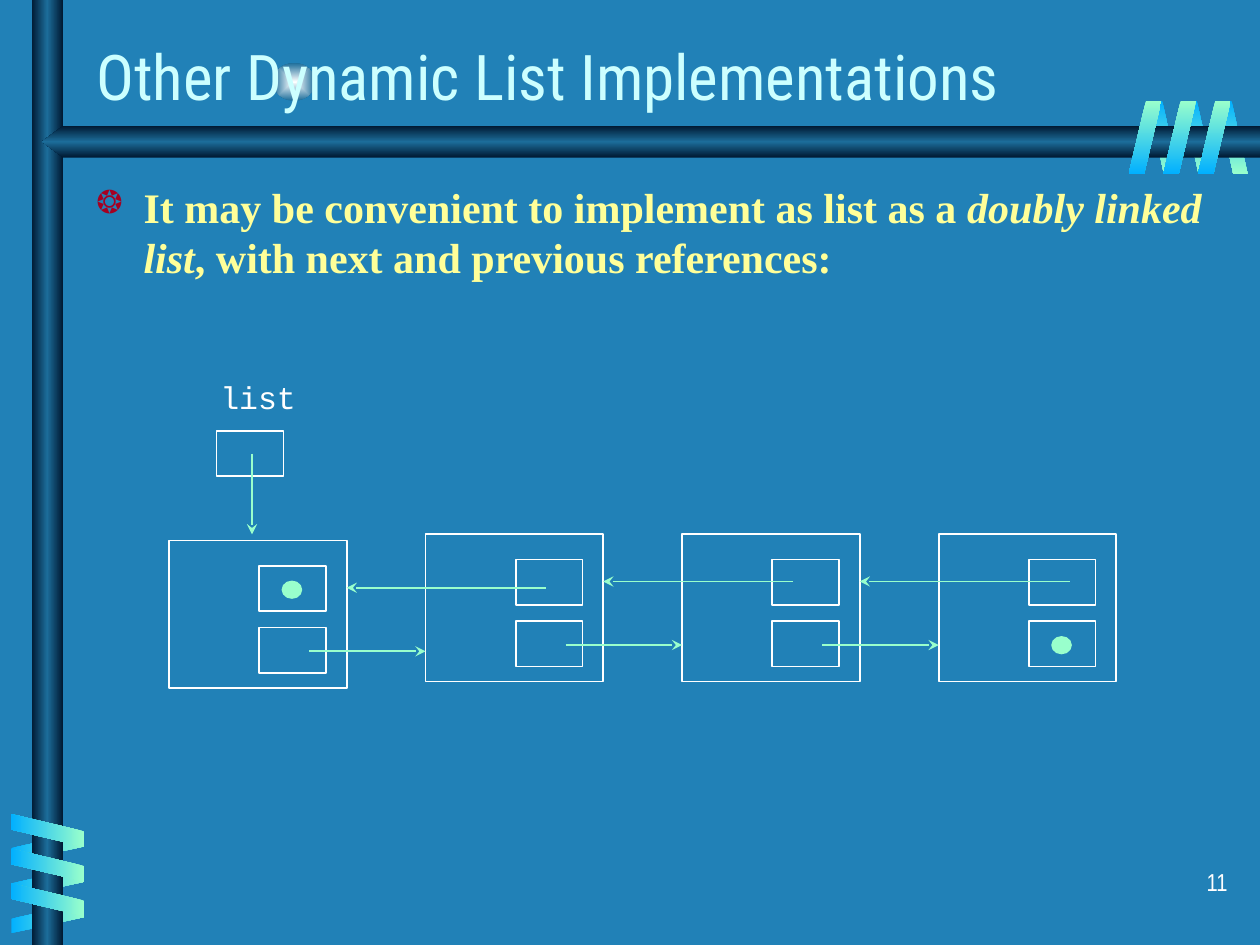
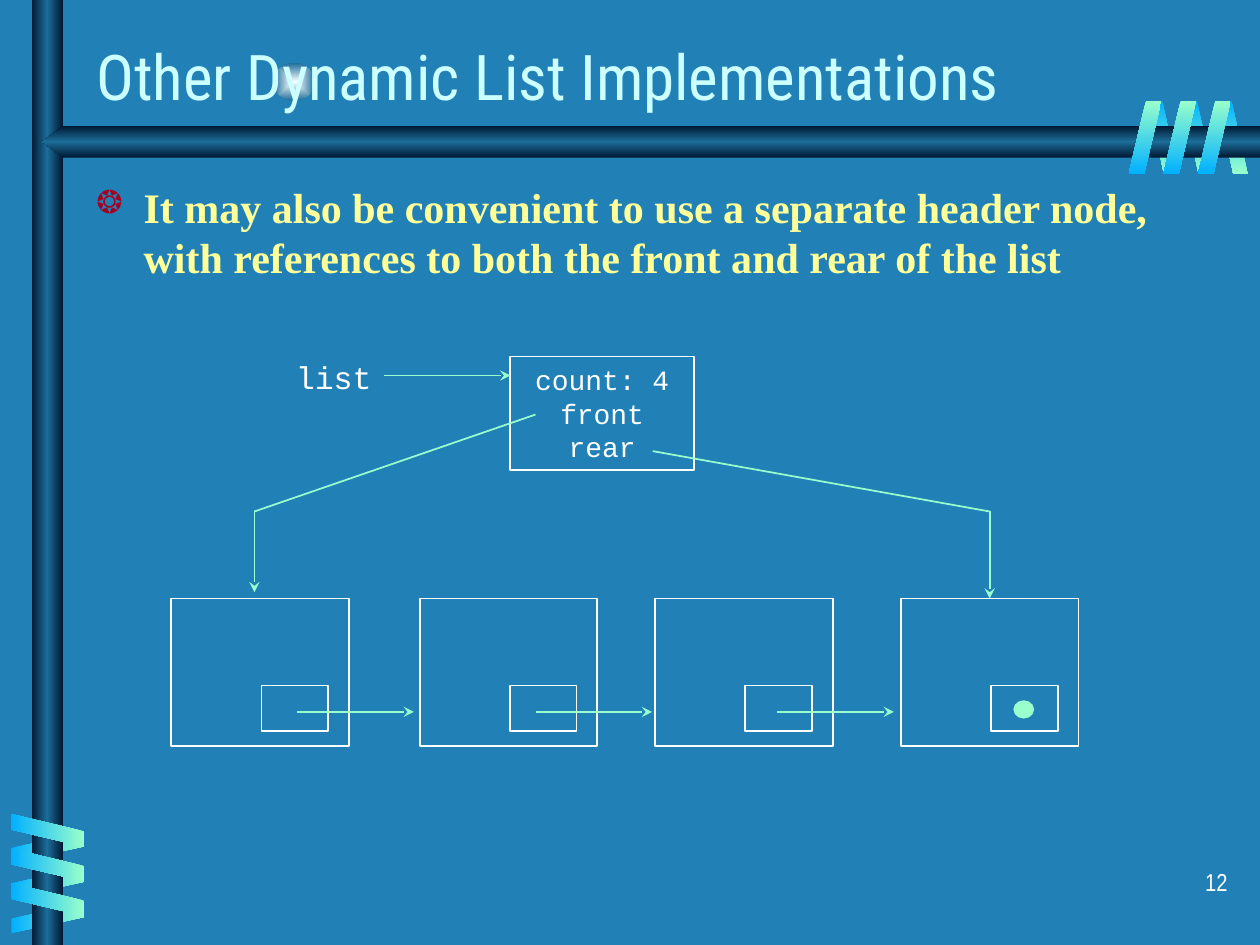
from lxml import etree
from pptx import Presentation
from pptx.dml.color import RGBColor
from pptx.enum.shapes import MSO_CONNECTOR, MSO_SHAPE
from pptx.enum.text import MSO_ANCHOR, MSO_AUTO_SIZE, PP_ALIGN
from pptx.oxml import parse_xml
from pptx.oxml.ns import nsdecls, qn
from pptx.util import Pt

RECTANGLE, OVAL, SLAT = MSO_SHAPE.RECTANGLE, MSO_SHAPE.OVAL, MSO_SHAPE.PARALLELOGRAM
STRAIGHT = MSO_CONNECTOR.STRAIGHT
TOP, MIDDLE = MSO_ANCHOR.TOP, MSO_ANCHOR.MIDDLE
LEFT, CENTER, RIGHT = PP_ALIGN.LEFT, PP_ALIGN.CENTER, PP_ALIGN.RIGHT
FIT_TEXT = MSO_AUTO_SIZE.SHAPE_TO_FIT_TEXT

COLORS = {
    "background": "2181B7", "title": "CCFFFF", "body": "FFFF99", "bullet": "A50021",
    "white": "FFFFFF", "mint": "99FFCC", "azure": "01B0FF",
    "navy": "001932", "steel": "1C6D9A", "glow": "FEFFFF",
}
FORMATS = {
    "title": {"name": "Roboto Condensed", "size": Pt(36)},
    "body": {"name": "Times New Roman", "size": Pt(24), "bold": True},
    "label": {"name": "Courier New", "size": Pt(18)},
    "field": {"name": "Courier New", "size": Pt(16)},
    "number": {"name": "Arial Narrow", "size": Pt(14)},
}
BAR_STOPS = [(0, "navy"), (50, "steel"), (100, "navy")]
FRONT_STOPS = [(0, "mint"), (100, "azure")]
BACK_STOPS = [(0, "azure"), (100, "mint")]

# Coil slats: first left, first top, step right, step down, width, rotation, flipped, angle
BACK_COILS = [
    (656, 57.6, 19.8, 0, 17.3, 180, True, 90),
    (18.7, 463.2, 0, 20.2, 17.3, 90, True, 180),
]
FRONT_COILS = [
    (17.8, 453.6, 0, 19.8, 18.7, 270, False, 180),
    (645, 57.6, 19.8, 0, 18.7, 0, False, 90),
]
SLAT_LENGTH = 41.8

NODE_WIDTH, NODE_HEIGHT = 101.5, 84.2
CELL_WIDTH, CELL_HEIGHT = 38.2, 25.9
CELL_LEFT, PREVIOUS_TOP, NEXT_TOP = 51.5, 14.4, 49.7
DOT_LEFT, DOT_TOP = 13.3, 9


def style_shape(shape, fill=None, line=None, angle=None):
    """Fill with a colour name, gradient stops or nothing; stops without angle run to the centre."""
    shape.shadow.inherit = False
    shape.fill.background()
    if isinstance(fill, str):
        shape.fill.solid()
        shape.fill.fore_color.rgb = RGBColor.from_string(COLORS[fill])
    elif fill:
        stops = "".join(
            f'<a:gs pos="{position * 1000}"><a:srgbClr val="{COLORS[color]}"/></a:gs>'
            for position, color in fill)
        direction = (
            '<a:path path="rect"><a:fillToRect l="50000" t="50000" r="50000" b="50000"/></a:path>'
            if angle is None else f'<a:lin ang="{angle * 60000}" scaled="0"/>')
        gradient = parse_xml(f'<a:gradFill {nsdecls("a")} rotWithShape="0">'
                             f'<a:gsLst>{stops}</a:gsLst>{direction}</a:gradFill>')
        properties = shape._element.spPr
        properties.replace(properties.find(qn("a:noFill")), gradient)
    if line:
        shape.line.color.rgb = RGBColor.from_string(COLORS[line])
        shape.line.width = Pt(1)
    else:
        shape.line.fill.background()


def add_text(slide, bounds, paragraphs, style, color="white",
             align=LEFT, anchor=TOP, wrap=True, before=0):
    """Add a text box; each paragraph is a list of (text, italic) runs."""
    frame = slide.shapes.add_textbox(*map(Pt, bounds)).text_frame
    frame.word_wrap = wrap
    frame.vertical_anchor = anchor
    if not wrap:
        frame.auto_size = FIT_TEXT
    for index, runs in enumerate(paragraphs):
        paragraph = frame.add_paragraph() if index else frame.paragraphs[0]
        paragraph.alignment = align
        paragraph.space_before = Pt(before)
        for text, italic in runs:
            run = paragraph.add_run()
            run.text = text
            for name, value in {**FORMATS[style], "italic": italic}.items():
                setattr(run.font, name, value)
            run.font.color.rgb = RGBColor.from_string(COLORS[color])
    return frame


# Doubly linked list: the first node sits slightly lower than the others
doubly_nodes = [(96.6 + 146.6 * i, 308.9 if i == 0 else 305.3) for i in range(4)]
doubly_cells = [(left + CELL_LEFT, top + offset)
                for left, top in doubly_nodes for offset in (PREVIOUS_TOP, NEXT_TOP)]
doubly_arrows = [(144, 259.2, 144, 305.3, True)]
for (left, top), (next_left, _), start in zip(doubly_nodes, doubly_nodes[1:], (68.6, 63.1, 74.9)):
    next_y, previous_y = top + 63.3, top + 27
    doubly_arrows.append((left + 80, next_y, next_left, next_y, True))
    doubly_arrows.append((next_left + start, previous_y, left + NODE_WIDTH, previous_y, True))

# List with a header node
header_nodes = [(left, 342) for left in (97.9, 239.8, 374.4, 514.8)]
header_cells = [(left + CELL_LEFT, top + NEXT_TOP) for left, top in header_nodes]
rear_x = header_nodes[-1][0] + NODE_WIDTH / 2
header_arrows = [(start, 406.8, start + 66.6, 406.8, True) for start in (169.9, 306, 444.2)]
header_arrows += [
    (145.4, 292.3, 145.4, 338.4, True),
    (145.4, 292.3, 306, 236.9, False),
    (373, 257.8, rear_x, 292.3, False),
    (rear_x, 292.3, rear_x, 342, True),
    (219.6, 214.6, 291.6, 214.6, True),
]

contents = [
    {
        "number": "11",
        "body": [("It may be convenient to implement as list as a ", False),
                 ("doubly linked list", True),
                 (", with next and previous references:", False)],
        "nodes": doubly_nodes,
        "cells": doubly_cells + [(123.8, 246.2)],
        "dotted cells": [doubly_cells[0], doubly_cells[-1]],
        "arrows": doubly_arrows,
        "list label": (118.8, 212.4, 57.6, 28.8),
        "header": None,
    },
    {
        "number": "12",
        "body": [("It may also be convenient to use a separate header node, with references "
                  "to both the front and rear of the list", False)],
        "nodes": header_nodes,
        "cells": header_cells,
        "dotted cells": [header_cells[-1]],
        "arrows": header_arrows,
        "list label": (162, 200.9, 57.6, 28.8),
        "header": (291.6, 203.8, 105.1, 64.8),
    },
]

presentation = Presentation()
presentation.slide_width, presentation.slide_height = Pt(720), Pt(540)
background = presentation.slide_master.background.fill
background.solid()
background.fore_color.rgb = RGBColor.from_string(COLORS["background"])

for content in contents:
    slide = presentation.slides.add_slide(presentation.slide_layouts[6])
    shapes = slide.shapes

    # Frame: glow, coils behind the bars, bars, coils in front
    glow = shapes.add_shape(OVAL, Pt(156.2), Pt(36), Pt(23.8), Pt(21.6))
    style_shape(glow, [(0, "glow"), (100, "steel")])
    for coils, stops in ((BACK_COILS, BACK_STOPS), (FRONT_COILS, FRONT_STOPS)):
        if coils is FRONT_COILS:
            side_bar = shapes.add_shape(RECTANGLE, Pt(18), 0, Pt(18), Pt(540))
            style_shape(side_bar, BAR_STOPS, angle=180)
            outline = shapes.build_freeform(Pt(720), Pt(72))
            outline.add_line_segments([(Pt(x), Pt(y)) for x, y in
                                       ((36, 72), (24, 81), (36, 90), (720, 90))])
            style_shape(outline.convert_to_shape(), BAR_STOPS, angle=90)
        for left, top, step_x, step_y, width, rotation, flipped, angle in coils:
            for i in range(3):
                slat = shapes.add_shape(SLAT, Pt(left + step_x * i), Pt(top + step_y * i),
                                        Pt(width), Pt(SLAT_LENGTH))
                slat.adjustments[0] = 0.53
                slat.rotation = rotation
                if flipped:
                    slat._element.spPr.find(qn("a:xfrm")).set("flipH", "1")
                style_shape(slat, stops, angle=angle)

    # Title, bulleted body and slide number
    add_text(slide, (48, 16, 597.6, 54), [[("Other Dynamic List Implementations", False)]],
             "title", "title", anchor=MIDDLE)
    body = add_text(slide, (48, 100, 654, 386), [content["body"]], "body", "body", before=6)
    bullet = body.paragraphs[0]._p.get_or_add_pPr()
    bullet.set("marL", str(Pt(27)))
    bullet.set("indent", str(-Pt(27)))
    bullet_color = etree.SubElement(bullet, qn("a:buClr"))
    etree.SubElement(bullet_color, qn("a:srgbClr"), val=COLORS["bullet"])
    etree.SubElement(bullet, qn("a:buSzPct"), val="75000")
    etree.SubElement(bullet, qn("a:buChar"), char="❂")
    add_text(slide, (558.7, 491.8, 149.8, 36), [[(content["number"], False)]],
             "number", align=RIGHT, before=8.8)

    # List diagram
    boxes = [(left, top, NODE_WIDTH, NODE_HEIGHT) for left, top in content["nodes"]]
    boxes += [(left, top, CELL_WIDTH, CELL_HEIGHT) for left, top in content["cells"]]
    if content["header"]:
        boxes.append(content["header"])
        add_text(slide, (298.4, 203.8, 91.4, 64.8),
                 [[(field, False)] for field in ("count: 4", "front", "rear")],
                 "field", align=CENTER, wrap=False)
    box_shapes = []
    for bounds in boxes:
        box = shapes.add_shape(RECTANGLE, *map(Pt, bounds))
        style_shape(box, line="white")
        box_shapes.append(box)
    for left, top in content["dotted cells"]:
        dot = shapes.add_shape(OVAL, Pt(left + DOT_LEFT), Pt(top + DOT_TOP), Pt(10.8), Pt(9.4))
        style_shape(dot, "mint", "mint")
    add_text(slide, content["list label"], [[("list", False)]], "label", wrap=False)

    for start_x, start_y, end_x, end_y, has_head in content["arrows"]:
        arrow = shapes.add_connector(STRAIGHT, Pt(start_x), Pt(start_y), Pt(end_x), Pt(end_y))
        arrow.line.color.rgb = RGBColor.from_string(COLORS["mint"])
        arrow.line.width = Pt(1)
        properties = arrow._element.spPr
        if has_head:
            etree.SubElement(properties.find(qn("a:ln")), qn("a:tailEnd"), type="stealth")
        etree.SubElement(properties, qn("a:effectLst"))
        for (left, top, width, _), box in zip(boxes, box_shapes):
            if abs(left + width / 2 - end_x) < 0.5 and abs(top - end_y) < 0.5:
                arrow.end_connect(box, 0)

presentation.save("out.pptx")
